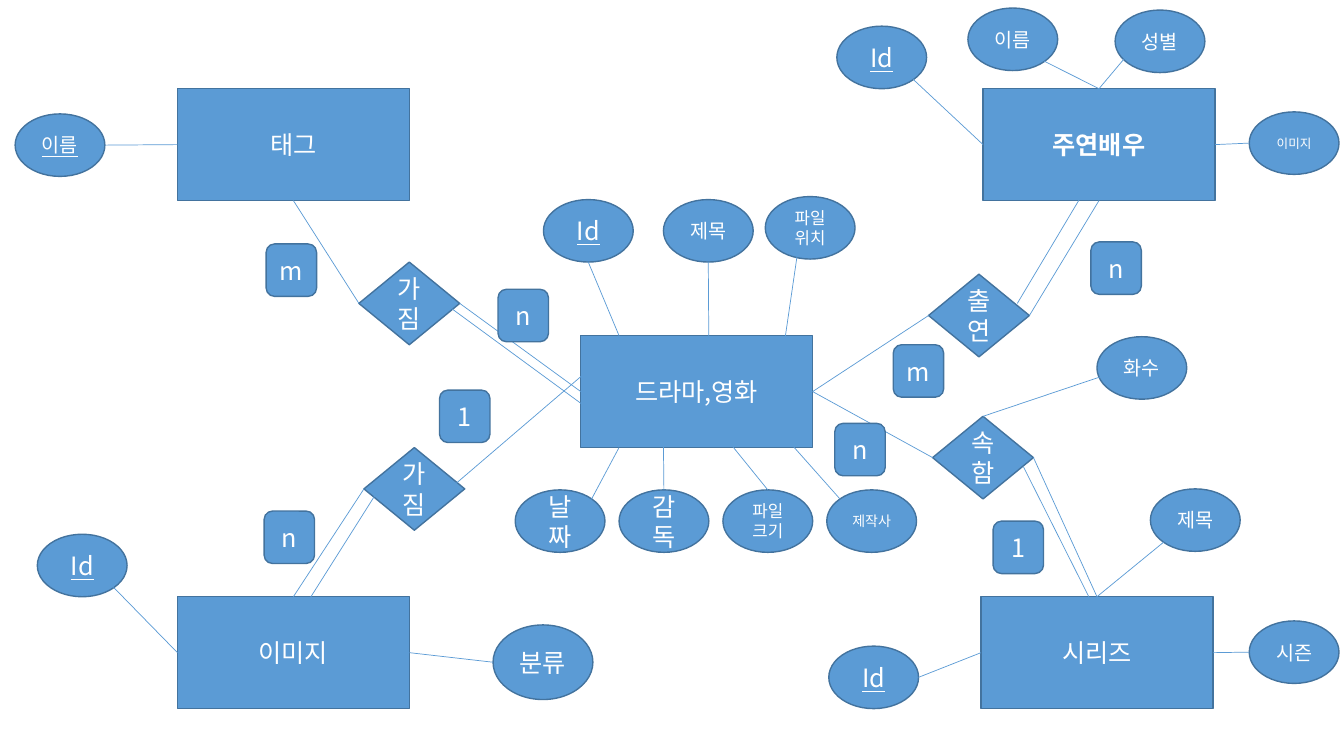
"""Draw an entity-relationship diagram of dramas, actors, series, tags and images."""
from lxml.etree import SubElement
from pptx import Presentation
from pptx.dml.color import RGBColor
from pptx.enum.shapes import MSO_CONNECTOR, MSO_SHAPE
from pptx.enum.text import MSO_ANCHOR, PP_ALIGN
from pptx.oxml.ns import qn
from pptx.util import Inches, Pt

BLUE = RGBColor(0x5B, 0x9B, 0xD5)
DARK_BLUE = RGBColor(0x43, 0x73, 0x9E)
WHITE = RGBColor(0xFF, 0xFF, 0xFF)
FONT = "Noto Sans CJK KR"
COLUMNS, ROWS = 133.3, 75

SITES = ["top", "left", "bottom", "right"]
SHARES = {
    "top": (0.5, 0), "left": (0, 0.5), "bottom": (0.5, 1), "right": (1, 0.5),
    "top left": (0.15, 0.15), "top right": (0.85, 0.15),
    "bottom left": (0.15, 0.85), "bottom right": (0.85, 0.85),
}


class Diagram:
    def __init__(self, presentation):
        self.slide = presentation.slides.add_slide(presentation.slide_layouts[6])
        self.column = presentation.slide_width / COLUMNS
        self.row = presentation.slide_height / ROWS

    def place(self, column, row):
        return round(column * self.column), round(row * self.row)

    def node(self, kind, text, corner, extent, size=18, bold=None, underline=None):
        node = self.slide.shapes.add_shape(kind, *self.place(*corner), *self.place(*extent))
        node.shadow.inherit = False
        node.fill.solid()
        node.fill.fore_color.rgb = BLUE
        node.line.color.rgb = DARK_BLUE
        node.line.width = Pt(1)
        node.text_frame.text = text
        node.text_frame.vertical_anchor = MSO_ANCHOR.MIDDLE
        paragraph = node.text_frame.paragraphs[0]
        paragraph.alignment = PP_ALIGN.CENTER
        font = paragraph.runs[0].font
        font.name, font.size, font.color.rgb = FONT, Pt(size), WHITE
        font.bold, font.underline = bold, underline
        SubElement(paragraph.runs[0]._r.rPr, qn("a:ea"), typeface=FONT)
        return node

    def entity(self, text, column, row, bold=None):
        return self.node(MSO_SHAPE.RECTANGLE, text, (column, row), (23, 11.1), bold=bold)

    def relation(self, text, column, row):
        return self.node(MSO_SHAPE.DIAMOND, text, (column, row), (10, 8.2))

    def attribute(self, text, column, row, size=14, key=None, extent=(8.9, 6.2)):
        return self.node(MSO_SHAPE.OVAL, text, (column, row), extent, size, underline=key)

    def cardinality(self, text, column, row):
        return self.node(MSO_SHAPE.ROUNDED_RECTANGLE, text, (column, row), (5, 5.2))

    def point(self, end):
        if end[1] not in SHARES:
            return self.place(*end)
        node, side = end
        across, down = SHARES[side]
        return round(node.left + across * node.width), round(node.top + down * node.height)

    def link(self, start, end):
        line = self.slide.shapes.add_connector(
            MSO_CONNECTOR.STRAIGHT, *self.point(start), *self.point(end))
        line.line.color.rgb = BLUE
        line.line.width = Pt(0.5)
        SubElement(line._element.spPr, qn("a:effectLst"))
        for (node, side), connect in ((start, line.begin_connect), (end, line.end_connect)):
            if side in SITES and node.auto_shape_type != MSO_SHAPE.OVAL:
                connect(node, SITES.index(side))


presentation = Presentation()
presentation.slide_width, presentation.slide_height = Inches(13.33), Inches(7.5)
diagram = Diagram(presentation)

actor = diagram.entity("주연배우", 97.5, 8.8, bold=True)
series = diagram.entity("시리즈", 97.3, 59.2)
drama = diagram.entity("드라마,영화", 57.6, 33.3)
image = diagram.entity("이미지", 17.6, 59.2)
tag = diagram.entity("태그", 17.6, 8.8)

tagged = diagram.relation("가짐", 35.6, 26)
pictured = diagram.relation("가짐", 36.1, 44.4)
starring = diagram.relation("출연", 92.1, 27.2)
belonging = diagram.relation("속함", 92.5, 41.3)

drama_id = diagram.attribute("Id", 53.9, 19.8, 18, key=True)
drama_title = diagram.attribute("제목", 65.8, 19.8)
diagram.attribute("파일위치", 75.9, 19.5, 12)
date, director, file_size, producer = [
    diagram.attribute(text, 51.1 + 10.3 * index, 48.6, size)
    for index, (text, size) in enumerate(
        [("날짜", 18), ("감독", 18), ("파일크기", 12), ("제작사", 10)])]
image_id = diagram.attribute("Id", 3.7, 53, 18, key=True)
category = diagram.attribute("분류", 48.9, 62, 18, extent=(9.9, 7.4))
tag_name = diagram.attribute("이름", 1.5, 11.3, key=True)
actor_id = diagram.attribute("Id", 83, 2.6, 18, key=True)
actor_name = diagram.attribute("이름", 96, 0.8)
diagram.attribute("성별", 110.6, 1)
actor_image = diagram.attribute("이미지", 123.9, 11.1, 9)
series_id = diagram.attribute("Id", 82.2, 64.1, 18, key=True)
series_title = diagram.attribute("제목", 114.1, 48.5)
season = diagram.attribute("시즌", 123.9, 61.6)
diagram.attribute("화수", 108.8, 33.4)

for start, end in [
    ((drama_id, "bottom"), (61.4, 33.3)),
    ((drama_title, "bottom"), (70.3, 33.6)),
    ((79.1, 25.1), (77.8, 34)),
    ((date, "top right"), (61.4, 44.4)),
    ((director, "top"), (65.8, 43.9)),
    ((file_size, "top"), (71.7, 43.1)),
    ((producer, "top left"), (78.6, 44.2)),
    ((tag, "bottom"), (tagged, "left")),
    ((tagged, "right"), (drama, "left")),
    ((44.5, 30.4), (58, 40.3)),
    ((44.6, 48.5), (57.8, 37.2)),
    ((pictured, "left"), (image, "top")),
    ((30.4, 59.9), (37.6, 48.5)),
    ((drama, "right"), (starring, "left")),
    ((starring, "right"), (actor, "bottom")),
    ((100.9, 30.1), (108, 18.2)),
    ((drama, "right"), (belonging, "left")),
    ((belonging, "right"), (series, "top")),
    ((101.5, 46.3), (109.1, 61.4)),
    ((belonging, "top"), (109.1, 37.4)),
    ((image_id, "bottom right"), (image, "left")),
    ((image, "right"), (category, "left")),
    ((tag, "left"), (tag_name, "right")),
    ((actor_id, "bottom right"), (actor, "left")),
    ((actor_name, "bottom right"), (actor, "top")),
    ((actor, "top"), (112.2, 5)),
    ((actor, "right"), (actor_image, "left")),
    ((series_id, "right"), (series, "left")),
    ((series, "top"), (series_title, "bottom left")),
    ((series, "right"), (season, "left")),
]:
    diagram.link(start, end)

for text, column, row in [
    ("1", 43.6, 38.7), ("n", 26.2, 50.7), ("m", 26.4, 24.2), ("m", 88.6, 34.2),
    ("1", 98.5, 51.7), ("n", 108.2, 24), ("n", 82.8, 42), ("n", 49.4, 28.7),
]:
    diagram.cardinality(text, column, row)

presentation.save("out.pptx")
